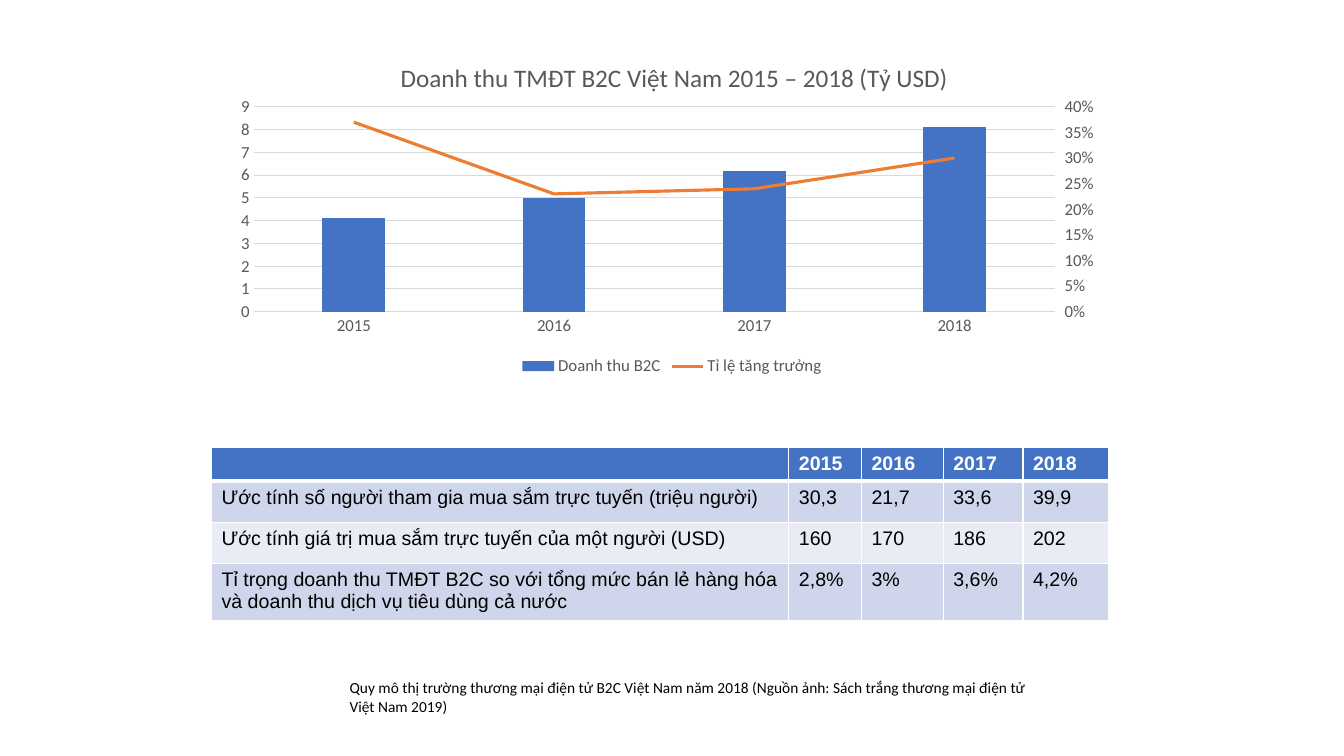
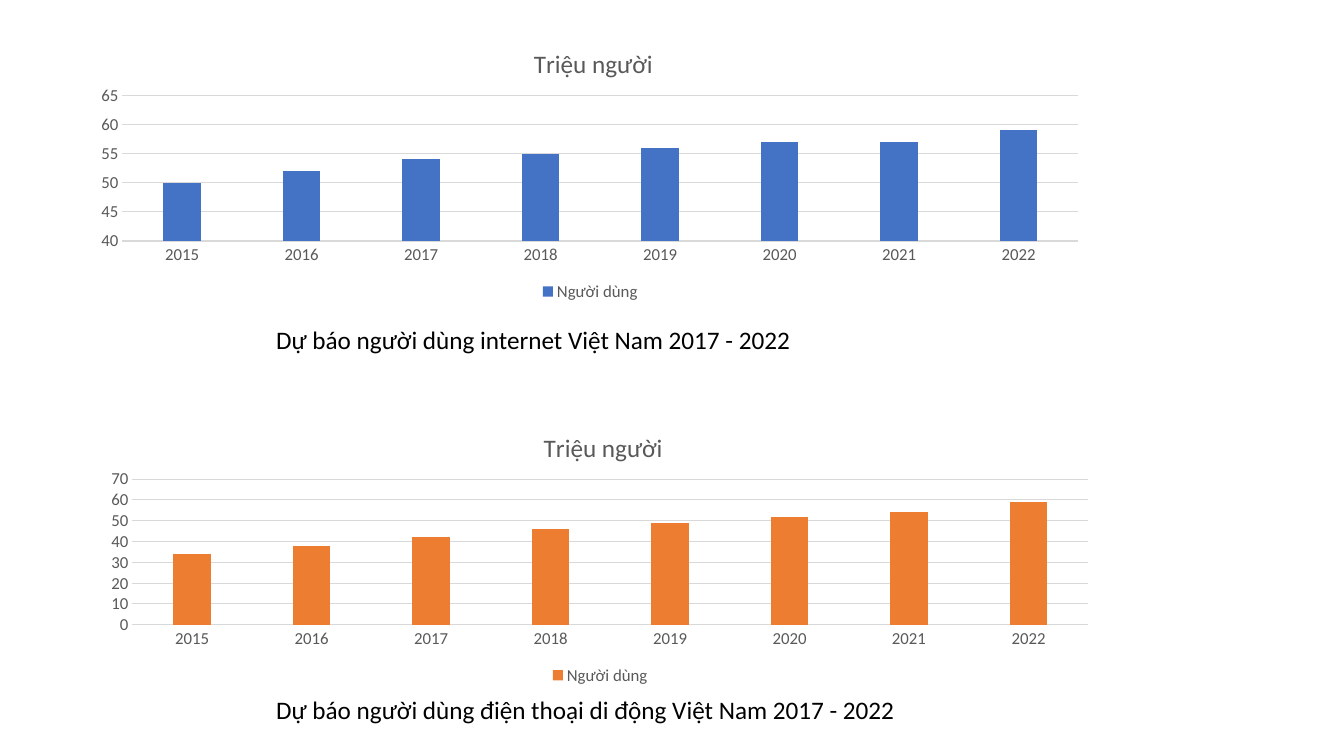
"""Build two slides on the Vietnamese B2C e-commerce market."""
import lxml.etree
import pptx
import pptx.chart.data
import pptx.dml.color
import pptx.enum.chart
import pptx.enum.text
import pptx.oxml
import pptx.oxml.ns
import pptx.util

Cm, Pt = pptx.util.Cm, pptx.util.Pt
qn = pptx.oxml.ns.qn
NONE = pptx.enum.chart.XL_TICK_MARK.NONE
BLACK, WHITE, GREY, RULE = "000000", "FFFFFF", "595959", "D9D9D9"
BLUE, ORANGE = "4472C4", "ED7D31"
BANDS = ["CFD5EA", "E9EBF5"]
NS = pptx.oxml.ns.nsdecls("c", "a")


def paint(fill, color):
    fill.solid()
    fill.fore_color.rgb = pptx.dml.color.RGBColor.from_string(color)


def style(obj, fmt):
    for name, value in fmt.items():
        if name == "color":
            paint(obj.fill, value)
        else:
            setattr(obj, name, value)


prs = pptx.Presentation()
style(prs, {"slide_width": Cm(33.87), "slide_height": Cm(19.05)})
slides = [prs.slides.add_slide(prs.slide_layouts[6]) for _ in range(2)]

forecast = {
    "slide": slides[1],
    "title": "Triệu người",
    "cats": range(2015, 2023),
    "overlap": -27,
    "title_at": {"x": 0.44, "y": 0.06},
    "plot_at": {"x": 0.04, "y": 0.25, "w": 0.94, "h": 0.52},
    "caption_size": 18,
}
panels = [
    {
        "slide": slides[0],
        "at": (5.72, 0.97, 22.43, 8.61),
        "title": "Doanh thu TMĐT B2C Việt Nam 2015 – 2018 (Tỷ USD)",
        "cats": range(2015, 2019),
        "series": [("Doanh thu B2C", [4.1, 5, 6.2, 8.1], "General"),
                   ("Tỉ lệ tăng trưởng", [0.37, 0.23, 0.24, 0.3], "0%")],
        "color": BLUE,
        "scale": (0, 9, 1),
        "overlap": 0,
        "title_at": {"x": 0.19, "y": 0.05},
        "plot_at": {"x": 0.03, "y": 0.2, "w": 0.9, "h": 0.6},
        "caption": "Quy mô thị trường thương mại điện tử B2C Việt Nam năm 2018 "
                   "(Nguồn ảnh: Sách trắng thương mại điện tử Việt Nam 2019)",
        "caption_at": (8.56, 16.97, 17.78, 1.19),
        "caption_size": 11,
    },
    {
        **forecast,
        "at": (2.06, 0.64, 25.63, 7.06),
        "series": [("Người dùng", [50, 52, 54, 55, 56, 57, 57, 59], "General")],
        "color": BLUE,
        "scale": (40, 65, 5),
        "caption": "Dự báo người dùng internet Việt Nam 2017 - 2022",
        "caption_at": (6.71, 8.05, 19.43, 1.02),
    },
    {
        **forecast,
        "at": (2.31, 10.31, 25.63, 7.06),
        "series": [("Người dùng", [34, 38, 42, 46, 49, 52, 54, 59], "General")],
        "color": ORANGE,
        "scale": (0, 70, 10),
        "caption": "Dự báo người dùng điện thoại di động Việt Nam 2017 - 2022",
        "caption_at": (6.71, 17.37, 19.43, 1.02),
    },
]

for panel in panels:
    s = panel["slide"]
    data = pptx.chart.data.CategoryChartData()
    data.categories = [str(year) for year in panel["cats"]]
    for name, values, number_format in panel["series"]:
        data.add_series(name, values, number_format)
    chart = s.shapes.add_chart(
        pptx.enum.chart.XL_CHART_TYPE.COLUMN_CLUSTERED,
        *map(Cm, panel["at"]), data).chart
    style(chart, {"has_title": True, "has_legend": True})
    style(chart.font, {"name": "Calibri", "size": Pt(12), "color": GREY})
    style(chart.legend, {
        "position": pptx.enum.chart.XL_LEGEND_POSITION.BOTTOM,
        "include_in_layout": False})
    r = chart.chart_title.text_frame.paragraphs[0].add_run()
    r.text = panel["title"]
    style(r.font, {"name": "Calibri", "size": Pt(18), "bold": False, "color": GREY})

    plot = chart.plots[0]
    style(plot, {"gap_width": 219, "overlap": panel["overlap"],
                 "vary_by_categories": False})
    paint(plot.series[0].format.fill, panel["color"])

    cat, val = chart.category_axis, chart.value_axis
    for axis in (cat, val):
        style(axis, {"major_tick_mark": NONE, "minor_tick_mark": NONE})
    low, high, step = panel["scale"]
    style(val, {"minimum_scale": low, "maximum_scale": high, "major_unit": step,
                "has_major_gridlines": True})
    val.format.line.fill.background()
    for line in (cat.format.line, val.major_gridlines.format.line):
        style(line, {"color": RULE, "width": Pt(0.75)})

    area = chart._chartSpace.chart.plotArea
    if len(panel["series"]) > 1:
        growth = plot.series[1]
        style(growth.format.line, {"color": ORANGE, "width": Pt(2.25)})
        ser = growth._element
        for child in ser.findall(qn("c:invertIfNegative")):
            ser.remove(child)
        ser.find(qn("c:spPr")).addnext(pptx.oxml.parse_xml(
            f'<c:marker {NS}><c:symbol val="none"/></c:marker>'))
        ser.append(pptx.oxml.parse_xml(f'<c:smooth {NS} val="0"/>'))
        line_chart = pptx.oxml.parse_xml(
            f'<c:lineChart {NS}><c:grouping val="standard"/><c:varyColors val="0"/>'
            '<c:marker val="1"/><c:axId val="5001"/><c:axId val="5002"/></c:lineChart>')
        line_chart.insert(2, ser)
        area.find(qn("c:barChart")).addnext(line_chart)
        right_axis = pptx.oxml.parse_xml(
            f'<c:valAx {NS}><c:axId val="5002"/><c:scaling>'
            '<c:orientation val="minMax"/><c:max val="0.4"/><c:min val="0"/></c:scaling>'
            '<c:delete val="0"/><c:axPos val="r"/>'
            '<c:numFmt formatCode="0%" sourceLinked="0"/><c:majorTickMark val="out"/>'
            '<c:minorTickMark val="none"/><c:tickLblPos val="nextTo"/>'
            '<c:spPr><a:ln><a:noFill/></a:ln></c:spPr><c:crossAx val="5001"/>'
            '<c:crosses val="max"/><c:crossBetween val="between"/>'
            '<c:majorUnit val="0.05"/></c:valAx>')
        hidden_axis = pptx.oxml.parse_xml(
            f'<c:catAx {NS}><c:axId val="5001"/><c:scaling>'
            '<c:orientation val="minMax"/></c:scaling><c:delete val="1"/>'
            '<c:axPos val="b"/><c:crossAx val="5002"/><c:crosses val="autoZero"/></c:catAx>')
        left_axis = area.find(qn("c:valAx"))
        left_axis.addnext(right_axis)
        right_axis.addnext(hidden_axis)

    title = chart.chart_title._element
    for parent, index, place in ((title, 1, panel["title_at"]),
                                 (area, 0, panel["plot_at"])):
        for old in parent.findall(qn("c:layout")):
            parent.remove(old)
        target = '<c:layoutTarget val="inner"/>' if parent is area else ""
        modes = "".join(f'<c:{k}Mode val="edge"/>' for k in "xy")
        sizes = "".join(f'<c:{k} val="{v}"/>' for k, v in place.items())
        parent.insert(index, pptx.oxml.parse_xml(
            f"<c:layout {NS}><c:manualLayout>{target}{modes}{sizes}"
            "</c:manualLayout></c:layout>"))

    tf = s.shapes.add_textbox(*map(Cm, panel["caption_at"])).text_frame
    style(tf, {"word_wrap": True,
               "auto_size": pptx.enum.text.MSO_AUTO_SIZE.SHAPE_TO_FIT_TEXT})
    r = tf.paragraphs[0].add_run()
    r.text = panel["caption"]
    style(r.font, {"name": "Calibri", "size": Pt(panel["caption_size"]), "color": BLACK})

rows = [
    ["", "2015", "2016", "2017", "2018"],
    ["Ước tính số người tham gia mua sắm trực tuyến (triệu người)",
     "30,3", "21,7", "33,6", "39,9"],
    ["Ước tính giá trị mua sắm trực tuyến của một người (USD)",
     "160", "170", "186", "202"],
    ["Tỉ trọng doanh thu TMĐT B2C so với tổng mức bán lẻ hàng hóa "
     "và doanh thu dịch vụ tiêu dùng cả nước", "2,8%", "3%", "3,6%", "4,2%"],
]
widths = [14.55, 1.83, 2.06, 2.01, 2.16]
heights = [0.84, 1.04, 1.04, 1.43]
table = slides[0].shapes.add_table(
    len(rows), len(widths), Cm(5.33), Cm(11.28),
    Cm(sum(widths)), Cm(sum(heights))).table
for column, width in zip(table.columns, widths):
    column.width = Cm(width)
for i, (row, height) in enumerate(zip(rows, heights)):
    table.rows[i].height = Cm(height)
    header = i == 0
    for j, text in enumerate(row):
        cell = table.cell(i, j)
        paint(cell.fill, BLUE if header else BANDS[(i - 1) % 2])
        p = cell.text_frame.paragraphs[0]
        if text:
            r = p.add_run()
            r.text = text
            style(r.font, {"name": "Arial", "size": Pt(14), "bold": header,
                           "color": WHITE if header else BLACK})
        else:
            lxml.etree.SubElement(p._p, qn("a:endParaRPr"), sz="1400")
        for k, side in enumerate("LRTB"):
            width = Pt(3 if header and side == "B" else 1)
            cell._tc.tcPr.insert(k, pptx.oxml.parse_xml(
                f'<a:ln{side} {NS} w="{width}"><a:solidFill><a:srgbClr val="{WHITE}"/>'
                f'</a:solidFill></a:ln{side}>'))

prs.save("out.pptx")
